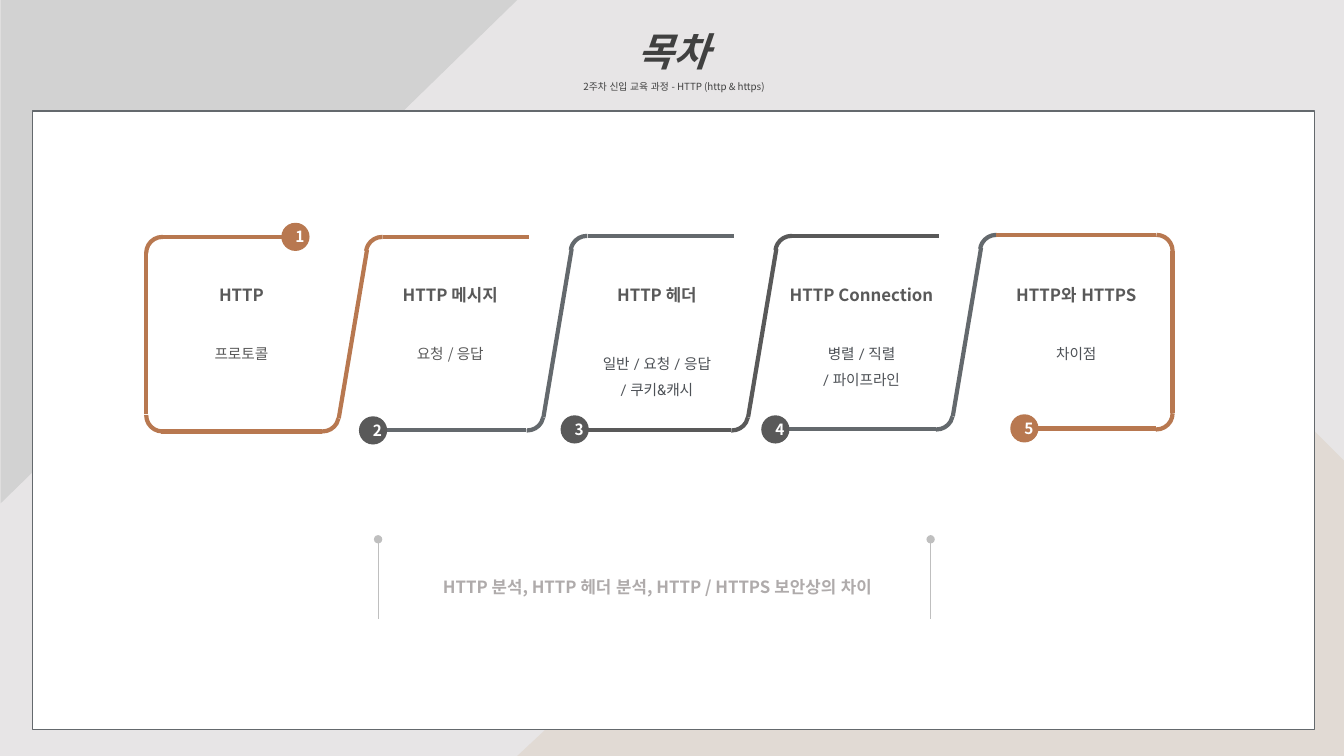
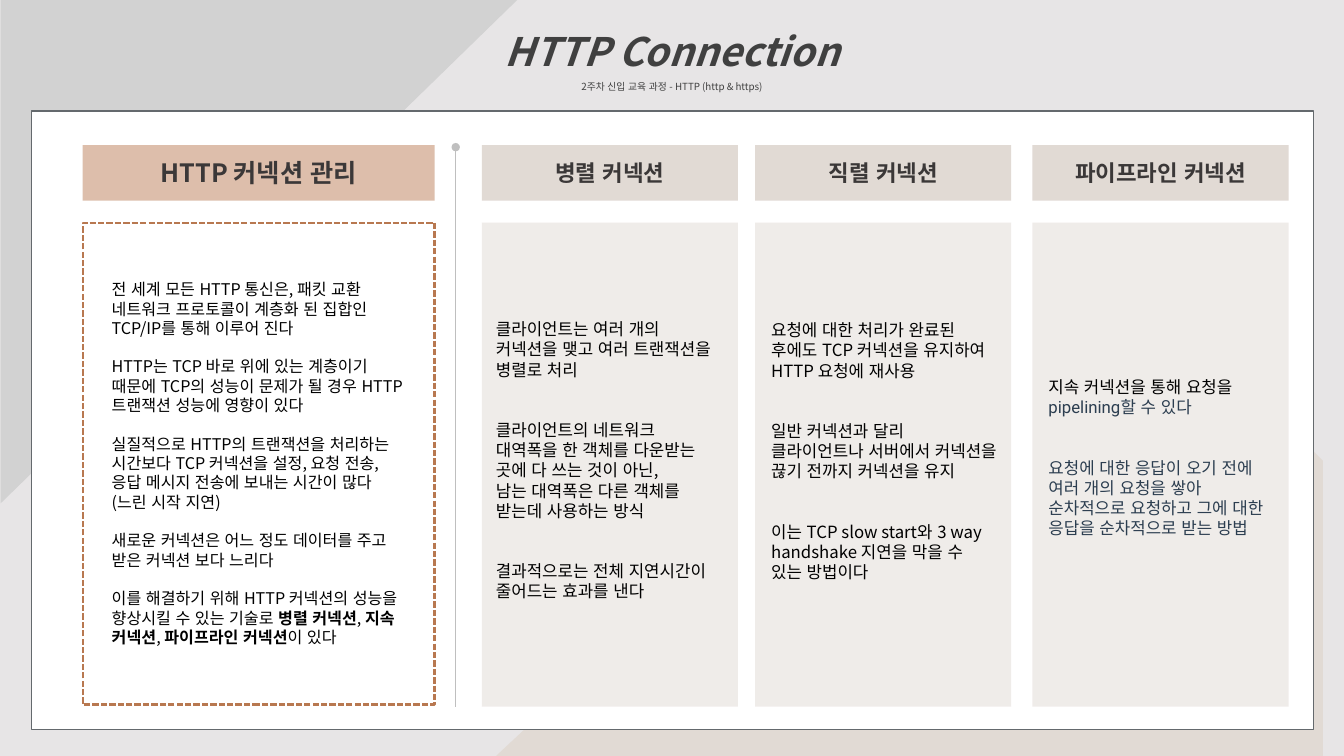
from dataclasses import dataclass

from lxml.etree import SubElement
from pptx import Presentation
from pptx.dml.color import RGBColor
from pptx.enum.dml import MSO_LINE
from pptx.enum.lang import MSO_LANGUAGE_ID
from pptx.enum.shapes import MSO_CONNECTOR, MSO_SHAPE
from pptx.enum.text import MSO_ANCHOR, PP_ALIGN
from pptx.oxml.ns import qn
from pptx.presentation import Presentation as Deck
from pptx.shapes.autoshape import Shape
from pptx.slide import Slide
from pptx.text.text import TextFrame
from pptx.util import Inches, Pt

HUES = {
    "page": "E7E5E6", "sand": "E1DAD4", "mist": "D2D2D2", "white": "FFFFFF",
    "slate": "64696D", "title": "404040", "copper": "B87850", "coal": "595959",
    "detail": "4D5156", "rule": "BFBFBF", "note": "AFABAB", "head": "3B3838",
    "black": "000000", "navy": "2C3E50",
}
SANS = "Noto Sans CJK KR"
ROBOTO = "Roboto"
Box = tuple[float, float, float, float]


@dataclass(frozen=True)
class Line:
    text: str
    size: float = 12
    hue: str = "black"
    bold: bool = False
    slant: bool = False
    gap: float = 0
    font: str = SANS
    tail: tuple["Line", ...] = ()


@dataclass(frozen=True)
class Bend:
    left: float
    top: float
    turn: int
    start: float
    stop: float
    hue: str


@dataclass(frozen=True)
class Bar:
    start: tuple[float, float]
    end: tuple[float, float]
    hue: str


@dataclass(frozen=True)
class Topic:
    left: float
    name: str
    points: tuple[str, ...]
    gap: float = 21.6
    hue: str = "detail"
    font: str = ROBOTO


@dataclass(frozen=True)
class Badge:
    left: float
    top: float
    hue: str


@dataclass(frozen=True)
class Column:
    left: float
    name: str
    text: Box
    lines: tuple[Line, ...]


def tint(name: str) -> RGBColor:
    return RGBColor.from_string(HUES[name])


def write(frame: TextFrame, lines: tuple[Line, ...], align: PP_ALIGN = PP_ALIGN.CENTER,
          space: float = 1, middle: bool = True) -> None:
    frame.word_wrap = True
    frame.vertical_anchor = MSO_ANCHOR.MIDDLE if middle else MSO_ANCHOR.TOP
    frame.text = "\n".join(line.text for line in lines)
    for para, line in zip(frame.paragraphs, lines):
        para.alignment = align
        para.line_spacing = space
        para.space_before = Pt(line.gap)
        for piece in line.tail:
            para.add_run().text = piece.text
        for run, piece in zip(para.runs, (line, *line.tail)):
            font = run.font
            font.size, font.bold, font.italic = Pt(piece.size), piece.bold, piece.slant
            font.color.rgb = tint(piece.hue)
            font.language_id = MSO_LANGUAGE_ID.KOREAN
            font.name = piece.font
            SubElement(font._element, qn("a:ea")).set("typeface", SANS)


def label(slide: Slide, box: Box, lines: tuple[Line, ...], **style) -> None:
    write(slide.shapes.add_textbox(*map(Inches, box)).text_frame, lines, **style)


def paint(shape: Shape, fill: str = "", edge: str = "", width: float = 1, alpha: int = 100) -> None:
    shape.shadow.inherit = False
    if fill:
        shape.fill.solid()
        shape.fill.fore_color.rgb = tint(fill)
        if alpha < 100:
            color = shape.element.spPr.find(qn("a:solidFill")).find(qn("a:srgbClr"))
            SubElement(color, qn("a:alpha")).set("val", str(alpha * 1000))
    else:
        shape.fill.background()
    if edge:
        shape.line.color.rgb = tint(edge)
        shape.line.width = Pt(width)
    else:
        shape.line.fill.background()


def block(slide: Slide, kind: MSO_SHAPE, box: Box, turn: int = 0, **style) -> Shape:
    shape = slide.shapes.add_shape(kind, *map(Inches, box))
    shape.rotation = turn
    paint(shape, **style)
    return shape


def draw_bar(slide: Slide, bar: Bar, width: float = 3, dot: bool = False) -> None:
    wire = slide.shapes.add_connector(MSO_CONNECTOR.STRAIGHT, *map(Inches, bar.start + bar.end))
    wire.line.color.rgb = tint(bar.hue)
    wire.line.width = Pt(width)
    props = wire.element.spPr
    if dot:
        SubElement(props.find(qn("a:ln")), qn("a:tailEnd")).set("type", "oval")
    SubElement(props, qn("a:effectLst"))


def draw_bend(slide: Slide, bend: Bend) -> None:
    arc = block(slide, MSO_SHAPE.ARC, (bend.left, bend.top, 0.32, 0.32), bend.turn,
                edge=bend.hue, width=3)
    arc.adjustments[0] = bend.start
    arc.adjustments[1] = bend.stop


def add_base(deck: Deck, title: str, box: Box, left: float, shift: float) -> Slide:
    slide = deck.slides.add_slide(deck.slide_layouts[6])
    slide.background.fill.solid()
    slide.background.fill.fore_color.rgb = tint("page")
    spots = [(Inches(x + shift), Inches(y)) for x, y in
             ((10.44, 2.54), (11.3, 2.54), (13.33, 4.57), (13.33, 7.5), (5.13, 7.5))]
    form = slide.shapes.build_freeform(*spots[0], scale=1.0)
    form.add_line_segments(spots[1:], close=True)
    paint(form.convert_to_shape(), "sand")
    block(slide, MSO_SHAPE.RIGHT_TRIANGLE, (0.07, -0.07, 5, 5.13), 90, fill="mist")
    block(slide, MSO_SHAPE.RECTANGLE, (left, 1.1, 12.72, 6.14), fill="white", edge="slate")
    label(slide, box, (
        Line(title, 28, "title", True, True),
        Line("2주차 신입 교육 과정 - HTTP (http & https)", 7, "title"),
    ), space=1.5, middle=False)
    return slide


def draw_rail(slide: Slide, left: float, base: float, hue: str, roof: bool) -> None:
    top = base - 1.93
    draw_bar(slide, Bar((left, base), (left + 1.59, base), hue))
    draw_bend(slide, Bend(left + 1.44, base - 0.32, 90, 168.61, 1.46, hue))
    draw_bar(slide, Bar((left + 1.76, base - 0.13), (left + 2.04, base - 1.8), hue))
    draw_bend(slide, Bend(left + 2.03, top, 270, 166.35, 1.26, hue))
    if roof:
        draw_bar(slide, Bar((left + 2.2, top), (left + 3.65, top), hue))


RAILS = ((4.28, "copper"), (4.27, "slate"), (4.27, "coal"), (4.26, "slate"))
ENDS = (
    Bend(1.45, 2.35, 270, 162, 1.17, "copper"),
    Bend(1.45, 3.96, 180, 162, 0.95, "copper"),
    Bend(11.31, 3.94, 90, 162, 1.17, "copper"),
    Bend(11.31, 2.33, 0, 162, 0.95, "copper"),
)
SIDES = (
    Bar((1.61, 2.35), (2.87, 2.35), "copper"),
    Bar((1.45, 2.51), (1.45, 4.11), "copper"),
    Bar((11.47, 4.25), (10.21, 4.25), "copper"),
    Bar((11.63, 4.1), (11.63, 2.49), "copper"),
    Bar((11.47, 2.33), (9.88, 2.33), "copper"),
)
TOPICS = (
    Topic(1.5, "HTTP", ("프로토콜",), hue="coal", font=SANS),
    Topic(3.57, "HTTP 메시지", ("요청 / 응답",), hue="coal", font=SANS),
    Topic(5.62, "HTTP 헤더", ("일반 / 요청 / 응답", "/ 쿠키&캐시"), 28.8),
    Topic(7.65, "HTTP Connection", ("병렬 / 직렬", "/ 파이프라인")),
    Topic(9.78, "HTTP와 HTTPS", ("차이점",)),
)
BADGES = (
    Badge(2.79, 2.21, "copper"), Badge(3.56, 4.13, "coal"), Badge(5.56, 4.12, "coal"),
    Badge(7.55, 4.12, "coal"), Badge(10.02, 4.11, "copper"),
)
STORY = (
    Line("전 세계 모든 HTTP 통신은, 패킷 교환 네트워크 프로토콜이 계층화 된 집합인 TCP/IP를 통해 이루어 진다", 11.5),
    Line("HTTP는 TCP 바로 위에 있는 계층이기 때문에 TCP의 성능이 문제가 될 경우 HTTP 트랜잭션 성능에 영향이 있다",
         11.5, gap=13.8),
    Line("실질적으로 HTTP의 트랜잭션을 처리하는 시간보다 TCP 커넥션을 설정, 요청 전송, 응답 메시지 전송에 보내는 시간이 많다 (느린 시작 지연)",
         11.5, gap=13.8),
    Line("새로운 커넥션은 어느 정도 데이터를 주고 받은 커넥션 보다 느리다", 11.5, gap=13.8),
    Line("이를 해결하기 위해 HTTP 커넥션의 성능을 향상시킬 수 있는 기술로 ", 11.5, gap=13.8, tail=(
        Line("병렬 커넥션", 11.5, bold=True), Line(", ", 11.5),
        Line("지속 커넥션", 11.5, bold=True), Line(", ", 11.5),
        Line("파이프라인 커넥션", 11.5, bold=True), Line("이 있다", 11.5),
    )),
)
COLUMNS = (
    Column(4.78, "병렬 커넥션", (4.82, 3.1, 2.42, 2.93), (
        Line("클라이언트는 여러 개의"),
        Line("커넥션을 맺고 여러 트랜잭션을 병렬로 처리"),
        Line("클라이언트의 네트워크", gap=28.8),
        Line("대역폭을 한 객체를 다운받는 곳에 다 쓰는 것이 아닌,"),
        Line("남는 대역폭은 다른 객체를 받는데 사용하는 방식"),
        Line("결과적으로는 전체 지연시간이 줄어드는 효과를 낸다", gap=28.8),
    )),
    Column(7.49, "직렬 커넥션", (7.55, 3.11, 2.44, 2.73), (
        Line("요청에 대한 처리가 완료된 후에도 TCP 커넥션을 유지하여 HTTP 요청에 재사용"),
        Line("일반 커넥션과 달리 클라이언트나 서버에서 커넥션을 끊기 전까지 커넥션을 유지", gap=28.8),
        Line("이는 TCP slow start와 3 way handshake 지연을 막을 수 있는 방법이다", gap=28.8),
    )),
    Column(10.24, "파이프라인 커넥션", (10.3, 3.68, 2.48, 1.72), (
        Line("지속 커넥션을 통해 요청을 ", tail=(
            Line("pipelining할 수 있다", hue="navy", font=ROBOTO),)),
        Line("요청에 대한 응답이 오기 전에 여러 개의 요청을 쌓아 순차적으로 요청하고 그에 대한 응답을 순차적으로 받는 방법",
             hue="navy", gap=28.8, font=ROBOTO),
    )),
)


def add_index(deck: Deck) -> None:
    slide = add_base(deck, "목차", (3.35, -0.01, 6.67, 0.96), 0.32, 0)
    for i, (base, hue) in enumerate(RAILS):
        draw_rail(slide, 1.6 + 2.03 * i, base, hue, i < len(RAILS) - 1)
    for bend in ENDS:
        draw_bend(slide, bend)
    for bar in SIDES:
        draw_bar(slide, bar)
    for topic in TOPICS:
        points = tuple(Line(point, 10.5, topic.hue, gap=0 if i else topic.gap, font=topic.font)
                       for i, point in enumerate(topic.points))
        label(slide, (topic.left, 2.68, 1.79, 1.21),
              (Line(topic.name, 12, "coal", True), *points), space=1.5, middle=False)
    for i, badge in enumerate(BADGES, 1):
        disc = block(slide, MSO_SHAPE.OVAL, (badge.left, badge.top, 0.28, 0.28), fill=badge.hue)
        write(disc.text_frame, (Line(str(i), 11, "white", True),))
    for x in (3.75, 9.23):
        draw_bar(slide, Bar((x, 6.14), (x, 5.35), "rule"), 0.5, True)
    label(slide, (3.95, 5.57, 5.14, 0.36),
          (Line("HTTP 분석, HTTP 헤더 분석, HTTP / HTTPS 보안상의 차이", 12, "note", True),),
          space=1.5, middle=False)


def add_detail(deck: Deck) -> None:
    slide = add_base(deck, "HTTP Connection", (0, -0.01, 13.33, 0.96), 0.31, -0.21)
    label(slide, (1.01, 2.4, 3.12, 4.39), STORY, align=PP_ALIGN.LEFT)
    frame = block(slide, MSO_SHAPE.RECTANGLE, (0.82, 2.21, 3.49, 4.78), edge="copper", width=1.5)
    frame.line.dash_style = MSO_LINE.SQUARE_DOT
    head = block(slide, MSO_SHAPE.RECTANGLE, (0.82, 1.44, 3.49, 0.55), fill="copper", alpha=48)
    write(head.text_frame, (Line("HTTP 커넥션 관리", 18, "head", True),))
    for col in COLUMNS:
        block(slide, MSO_SHAPE.RECTANGLE, (col.left, 2.21, 2.54, 4.8), fill="sand", alpha=51)
        head = block(slide, MSO_SHAPE.RECTANGLE, (col.left, 1.44, 2.54, 0.55), fill="sand")
        write(head.text_frame, (Line(col.name, 16, "head", True),))
        label(slide, col.text, col.lines, align=PP_ALIGN.LEFT)
    draw_bar(slide, Bar((4.52, 7.01), (4.52, 1.46), "rule"), 0.5, True)


def main() -> None:
    deck = Presentation()
    deck.slide_width, deck.slide_height = Inches(13.33), Inches(7.5)
    add_index(deck)
    add_detail(deck)
    deck.save("out.pptx")


if __name__ == "__main__":
    main()
